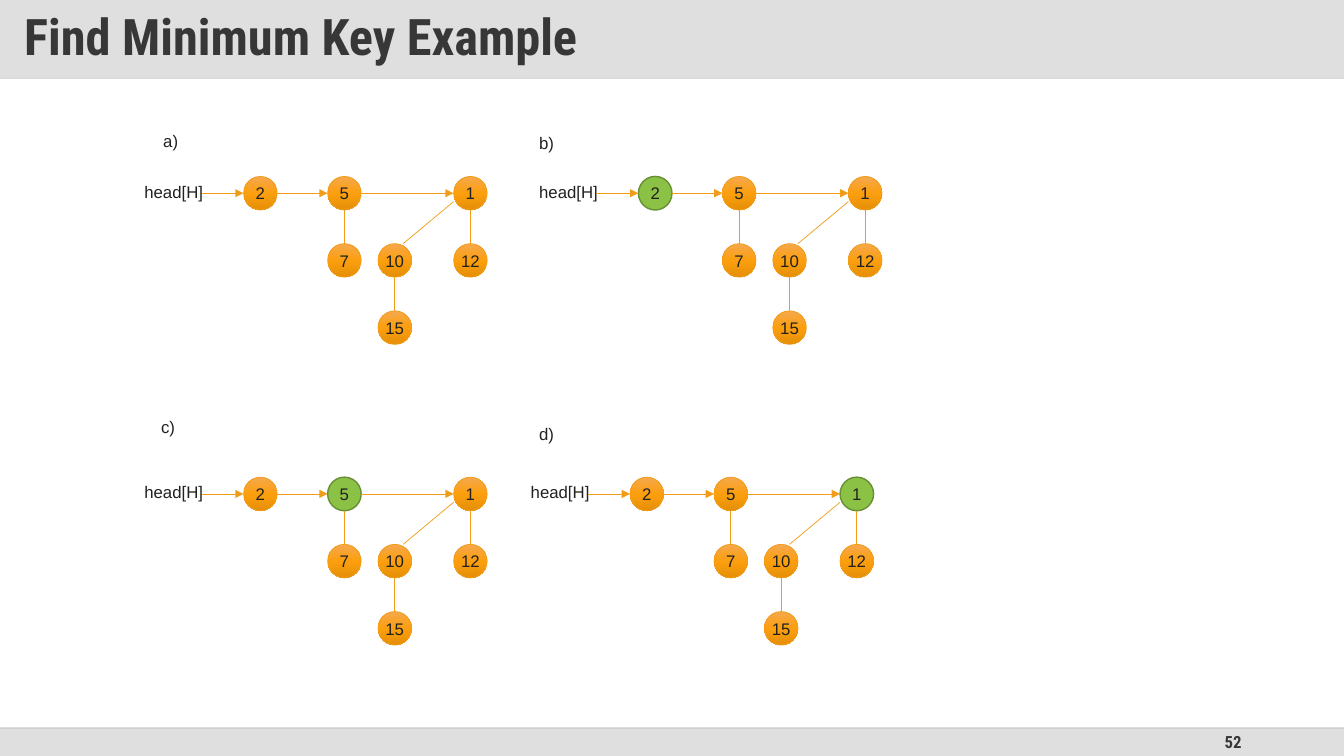
from copy import deepcopy

from pptx import Presentation
from pptx.dml.color import RGBColor
from pptx.enum.shapes import MSO_CONNECTOR, MSO_SHAPE
from pptx.enum.text import MSO_ANCHOR, MSO_AUTO_SIZE, PP_ALIGN
from pptx.oxml.ns import qn
from pptx.oxml.xmlchemy import OxmlElement
from pptx.util import Pt

COLORS = {
    "bar": "DFDFDF", "title_bar": "C0C0C0", "title_rule": "D9D9D9",
    "footer_rule": "BFBFBF", "heading": "373737", "text": "212121",
    "white": "FFFFFF", "edge": "F19D19",
    "node_top": "F5A84E", "node_middle": "FC9F0E", "node_bottom": "E58F07",
    "visited": "8BC145", "visited_edge": "678F33",
}
WIDTH, HEIGHT = 960, 540
TITLE_HEIGHT, FOOTER_TOP = 56, 520
NODE = 24  # node diameter

# Left and top of every key, measured from the top left of its heap
KEYS = {2: (78, 0), 5: (138, 0), 1: (228, 0), 7: (138, 48),
        10: (174, 48), 12: (228, 48), 15: (174, 96)}
ROOT_LINKS = [(2, 5), (5, 1)]
CHILD_LINKS = [(5, 7), (1, 12), (10, 15)]

# Label, label position, heap position, visited key
HEAPS = [
    ("a)", (109.5, 90), (96, 126), None),
    ("b)", (378, 91.5), (378, 126), 2),
    ("c)", (108, 294), (96, 340.8), 5),
    ("d)", (378, 299), (372, 340.8), 1),
]


def color(name):
    return RGBColor.from_string(COLORS[name])


def set_alpha(properties, percent):
    alpha = OxmlElement("a:alpha")
    alpha.set("val", str(percent * 1000))
    properties.find(".//" + qn("a:srgbClr")).append(alpha)


def write(shape, text, size=12, font="Arial", ink="text", bold=False,
          align=PP_ALIGN.LEFT, anchor=MSO_ANCHOR.TOP, wrap=True):
    frame = shape.text_frame
    frame.word_wrap = wrap
    frame.auto_size = MSO_AUTO_SIZE.NONE
    frame.vertical_anchor = anchor
    paragraph = frame.paragraphs[0]
    paragraph.text = text
    paragraph.alignment = align
    paragraph.font.size = Pt(size)
    paragraph.font.name = font
    paragraph.font.bold = bold
    paragraph.font.color.rgb = color(ink)


def add_line(slide, start, end, ink="edge", weight=0.5, arrow=False):
    line = slide.shapes.add_connector(
        MSO_CONNECTOR.STRAIGHT, *(Pt(value) for value in (*start, *end)))
    line.line.color.rgb = color(ink)
    line.line.width = Pt(weight)
    if arrow:
        tail = OxmlElement("a:tailEnd")
        tail.set("type", "triangle")
        line.line._get_or_add_ln().append(tail)
    line._element.spPr.append(OxmlElement("a:effectLst"))
    return line


def add_shape(slide, kind, left, top, width, height, fill=None):
    shape = slide.shapes.add_shape(kind, Pt(left), Pt(top), Pt(width), Pt(height))
    shape.shadow.inherit = False
    shape.line.fill.background()
    if fill:
        shape.fill.solid()
        shape.fill.fore_color.rgb = color(fill)
    return shape


def add_label(slide, text, left, top, width):
    box = add_shape(slide, MSO_SHAPE.RECTANGLE, left, top, width, 21.6, "white")
    write(box, text)


def fill_gradient(shape):
    shape.fill.gradient()
    shape.fill.gradient_angle = 270
    stop_list = shape.element.spPr.find(".//" + qn("a:gsLst"))
    stop_list.append(deepcopy(stop_list[0]))
    names = ("node_top", "node_middle", "node_bottom")
    for index, (stop, name) in enumerate(zip(shape.fill.gradient_stops, names)):
        stop.color.rgb = color(name)
        stop.position = index / 2


def add_node(slide, key, left, top, visited):
    node = add_shape(slide, MSO_SHAPE.OVAL, left, top, NODE, NODE,
                     "visited" if visited else None)
    if not visited:
        fill_gradient(node)
    node.line.color.rgb = color("visited_edge" if visited else "edge")
    node.line.width = Pt(1 if visited else 0.5)
    write(node, str(key), align=PP_ALIGN.CENTER, anchor=MSO_ANCHOR.MIDDLE, wrap=False)


def add_heap(slide, left, top, visited_key):
    places = {key: (left + x, top + y) for key, (x, y) in KEYS.items()}
    for key, place in places.items():
        add_node(slide, key, *place, key == visited_key)
    add_label(slide, "head[H]", left, top, 60)

    # Root list
    middle = top + NODE / 2
    add_line(slide, (left + 48, middle), (places[2][0], middle), arrow=True)
    for first, second in ROOT_LINKS:
        add_line(slide, (places[first][0] + NODE, middle),
                 (places[second][0], middle), arrow=True)

    # Parents and children
    for parent, child in CHILD_LINKS:
        center = places[parent][0] + NODE / 2
        add_line(slide, (center, places[parent][1] + NODE), (center, places[child][1]))
    add_line(slide, (places[10][0] + 18, places[10][1]), (places[1][0], top + 18))


def add_title(slide, text):
    title = slide.shapes.title
    title.left, title.top = Pt(0), Pt(0)
    title.width, title.height = Pt(WIDTH), Pt(TITLE_HEIGHT)
    title.fill.solid()
    title.fill.fore_color.rgb = color("title_bar")
    set_alpha(title.element.spPr, 50)
    write(title, text, 36, "Roboto Condensed", "heading", True, anchor=MSO_ANCHOR.MIDDLE)
    frame = title.text_frame
    frame.margin_left = frame.margin_right = Pt(17.28)
    frame.margin_top = frame.margin_bottom = Pt(8.64)
    frame.paragraphs[0].line_spacing = 0.9
    add_line(slide, (0, TITLE_HEIGHT), (WIDTH, TITLE_HEIGHT), "title_rule", 1)


def add_footer(slide, number):
    height = HEIGHT - FOOTER_TOP
    add_shape(slide, MSO_SHAPE.RECTANGLE, 0, FOOTER_TOP, WIDTH, height, "bar")
    box = slide.shapes.add_textbox(Pt(678), Pt(FOOTER_TOP), Pt(216), Pt(height))
    write(box, number, 12, "Roboto Condensed", "heading", True,
          PP_ALIGN.RIGHT, MSO_ANCHOR.MIDDLE)
    rule = add_line(slide, (0, FOOTER_TOP), (WIDTH, FOOTER_TOP), "footer_rule", 1)
    set_alpha(rule._element.spPr, 70)


def main():
    presentation = Presentation()
    presentation.slide_width, presentation.slide_height = Pt(WIDTH), Pt(HEIGHT)
    slide = presentation.slides.add_slide(presentation.slide_layouts[5])
    add_title(slide, "Find Minimum Key Example")
    add_footer(slide, "52")
    for label, label_place, heap_place, visited_key in HEAPS:
        add_heap(slide, *heap_place, visited_key)
        add_label(slide, label, *label_place, 42)
    presentation.save("out.pptx")


if __name__ == "__main__":
    main()
